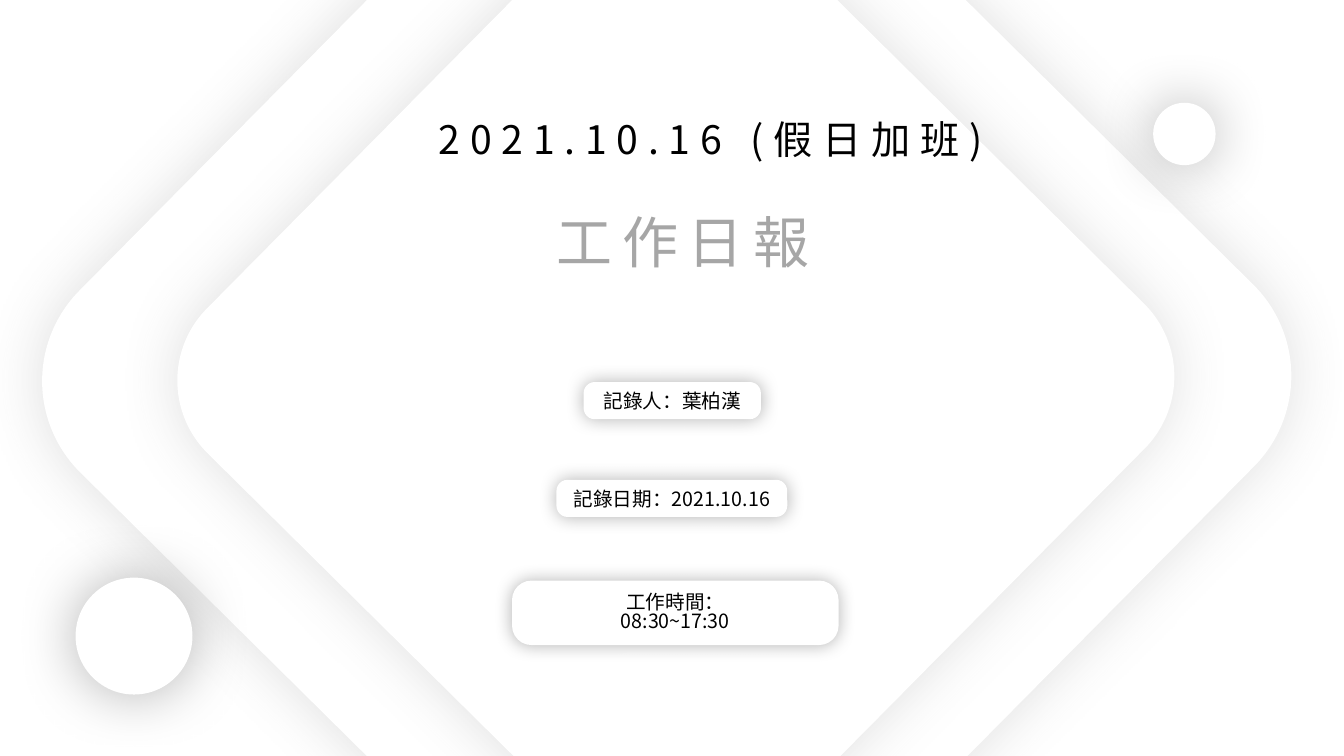
"""Build the cover slide of a daily work report."""
from dataclasses import dataclass
from typing import Any

import pptx
import pptx.dml.color
import pptx.enum.shapes
import pptx.enum.text
import pptx.oxml
import pptx.oxml.ns
import pptx.util

Pt = pptx.util.Pt
RGBColor = pptx.dml.color.RGBColor
Shape = pptx.enum.shapes.MSO_SHAPE

WHITE = RGBColor(0xFF, 0xFF, 0xFF)
BLACK = RGBColor(0x00, 0x00, 0x00)
GREY = RGBColor(0xA6, 0xA6, 0xA6)
SMOKE = RGBColor(0x59, 0x59, 0x59)
FONT = "Noto Sans CJK SC"
DIAMOND_ANGLE = 44.7
PILL_CENTRE = 483.8


@dataclass(frozen=True)
class Shadow:
    """Soft glow around a white shape."""
    color: RGBColor
    opacity: int
    blur: float


@dataclass(frozen=True)
class Panel:
    """White shape with a glow."""
    kind: Any
    left: float
    top: float
    width: float
    height: float
    shadow: Shadow
    corner: float = 0
    rotation: float = 0


@dataclass(frozen=True)
class Label:
    """Centred text with its box."""
    lines: tuple[str, ...]
    left: float
    top: float
    width: float
    height: float
    size: float
    color: RGBColor = BLACK
    tracking: float = 0
    line_spacing: float = 1


@dataclass(frozen=True)
class Pill:
    """Rounded plate and the label on it."""
    lines: tuple[str, ...]
    top: float
    width: float
    height: float
    centre: float = PILL_CENTRE
    line_spacing: float = 1


DIAMOND_SHADOW = Shadow(SMOKE, 19, 43)
DOT_SHADOW = Shadow(BLACK, 30, 43)
PILL_SHADOW = Shadow(BLACK, 30, 13)

DIAMONDS = [
    Panel(Shape.ROUNDED_RECTANGLE, left, top, side, side, DIAMOND_SHADOW, 0.134, DIAMOND_ANGLE)
    for left, top, side in ((133.9, -72, 684.7), (209.5, -2.9, 546.5))
]
DOTS = [
    Panel(Shape.OVAL, left, top, side, side, DOT_SHADOW)
    for left, top, side in ((54, 412.6, 83.5), (823.7, 73.4, 44.6))
]
HEADINGS = [
    Label(("2021.10.16 (假日加班)",), 191.5, 78.5, 632.2, 41, 28, tracking=7),
    Label(("工作日報",), 316.8, 144.7, 342, 55.4, 40, GREY, 7),
]
PILLS = [
    Pill(("記錄人：葉柏漢",), 272.9, 126.7, 26.6, centre=480.2),
    Pill(("記錄日期：2021.10.16",), 342.7, 164.9, 26.6, centre=479.9),
    Pill(("工作時間：", "08:30~17:30"), 414.7, 233.3, 46.1, centre=482.4, line_spacing=0.84),
]


def set_attributes(target: Any, values: dict[str, Any]) -> None:
    """Apply a dict of format values."""
    for name, value in values.items():
        setattr(target, name, value)


def add_glow(shape: Any, shadow: Shadow) -> None:
    """Give a shape an outer shadow without offset."""
    shape.shadow.inherit = False
    effects = shape._element.spPr.find(pptx.oxml.ns.qn("a:effectLst"))
    effects.append(pptx.oxml.parse_xml(
        f'<a:outerShdw {pptx.oxml.ns.nsdecls("a")} blurRad="{Pt(shadow.blur)}" dist="0" dir="0"'
        f' algn="ctr" rotWithShape="0"><a:srgbClr val="{shadow.color}">'
        f'<a:alpha val="{shadow.opacity * 1000}"/></a:srgbClr></a:outerShdw>'))


def draw_panel(shapes: Any, panel: Panel) -> None:
    """Draw a white shape with its glow."""
    shape = shapes.add_shape(panel.kind, Pt(panel.left), Pt(panel.top),
                             Pt(panel.width), Pt(panel.height))
    if panel.corner:
        shape.adjustments[0] = panel.corner
    shape.rotation = panel.rotation
    shape.fill.solid()
    shape.fill.fore_color.rgb = WHITE
    shape.line.fill.background()
    add_glow(shape, panel.shadow)


def draw_label(shapes: Any, label: Label) -> None:
    """Draw centred text."""
    box = shapes.add_textbox(Pt(label.left), Pt(label.top), Pt(label.width), Pt(label.height))
    frame = box.text_frame
    set_attributes(frame, {
        "word_wrap": True,
        "vertical_anchor": pptx.enum.text.MSO_ANCHOR.MIDDLE,
        "text": "\n".join(label.lines),
    })
    for para in frame.paragraphs:
        set_attributes(para, {
            "alignment": pptx.enum.text.PP_ALIGN.CENTER,
            "line_spacing": label.line_spacing,
        })
        for span in para.runs:
            set_attributes(span.font, {"name": FONT, "size": Pt(label.size)})
            span.font.color.rgb = label.color
            properties = span._r.get_or_add_rPr()
            if label.tracking:
                properties.set("spc", str(round(label.tracking * 100)))
            properties.append(pptx.oxml.parse_xml(
                f'<a:ea {pptx.oxml.ns.nsdecls("a")} typeface="{FONT}"/>'))


def draw_pill(shapes: Any, pill: Pill) -> None:
    """Draw a plate and its label as one group."""
    group = shapes.add_group_shape()
    left = pill.centre - pill.width / 2
    draw_panel(group.shapes, Panel(Shape.ROUNDED_RECTANGLE, left, pill.top, pill.width,
                                   pill.height, PILL_SHADOW, 0.302))
    draw_label(group.shapes, Label(pill.lines, left - 6, pill.top + 1.4, pill.width + 12,
                                   pill.height - 2.4, 14, line_spacing=pill.line_spacing))


def main() -> None:
    """Build and save the deck."""
    deck = pptx.Presentation()
    set_attributes(deck, {"slide_width": Pt(960), "slide_height": Pt(540)})
    page = deck.slides.add_slide(deck.slide_layouts[6])
    for diamond in DIAMONDS:
        draw_panel(page.shapes, diamond)
    for heading in HEADINGS:
        draw_label(page.shapes, heading)
    for dot in DOTS:
        draw_panel(page.shapes, dot)
    for pill in PILLS:
        draw_pill(page.shapes, pill)
    deck.save("out.pptx")


if __name__ == "__main__":
    main()
